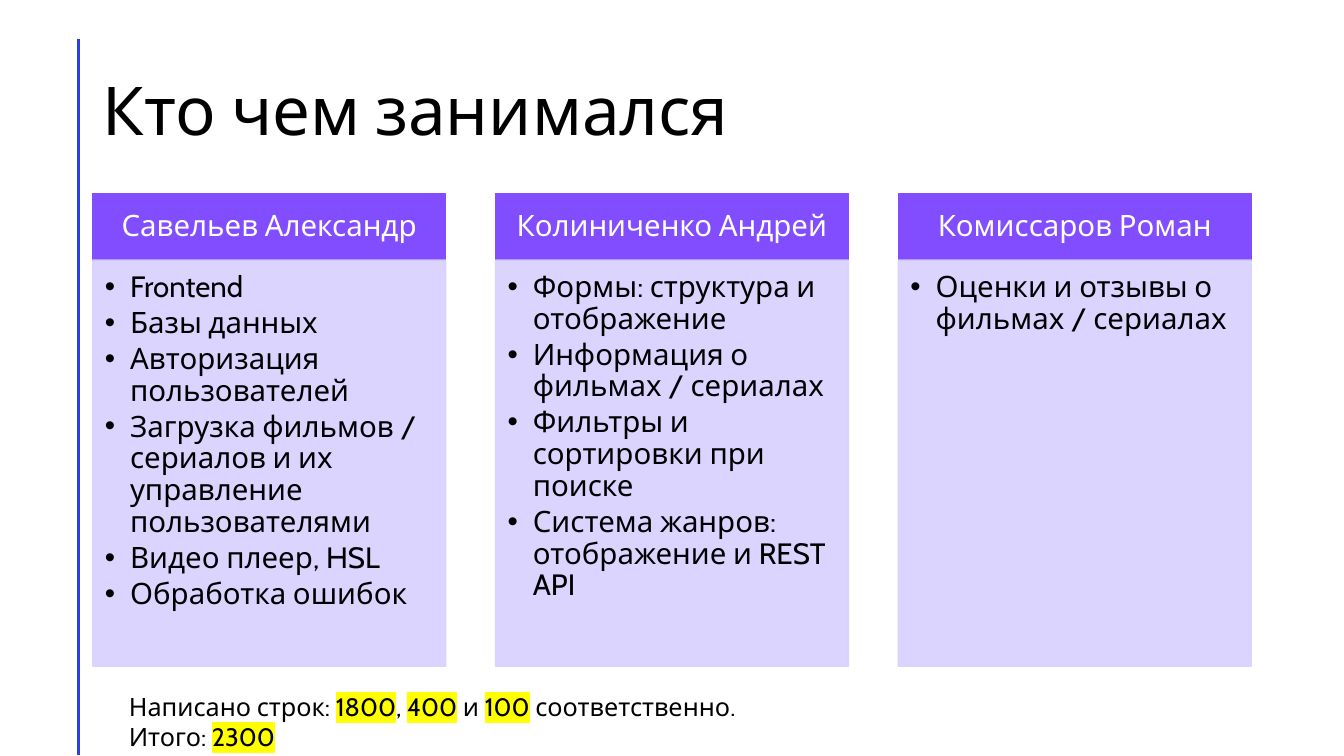
from lxml import etree
from pptx import Presentation
from pptx.dml.color import RGBColor
from pptx.enum.shapes import MSO_CONNECTOR, MSO_SHAPE
from pptx.enum.text import MSO_ANCHOR, PP_ALIGN
from pptx.oxml.ns import qn
from pptx.util import Inches, Pt

RECT = MSO_SHAPE.RECTANGLE
STRAIGHT = MSO_CONNECTOR.STRAIGHT
TOP, MIDDLE = MSO_ANCHOR.TOP, MSO_ANCHOR.MIDDLE
LEFT, CENTER = PP_ALIGN.LEFT, PP_ALIGN.CENTER

BLACK = RGBColor(0x00, 0x00, 0x00)
WHITE = RGBColor(0xFF, 0xFF, 0xFF)
BLUE = RGBColor(0x2B, 0x3F, 0xE4)
VIOLET = RGBColor(0x81, 0x4D, 0xFF)
LILAC = RGBColor(0xD8, 0xD0, 0xFF)
HIGHLIGHT = "FFFF00"
FONT = "Cabin"

CARD_LEFT, CARD_WIDTH, CARD_STEP = 0.92, 3.5, 3.995
HEAD_TOP, HEAD_HEIGHT, BODY_HEIGHT = 1.92, 0.66, 4.03
HEAD_INSETS = (0.16, 0.09, 0.16, 0.09)
BODY_INSETS = (0.12, 0.12, 0.16, 0.18)

TEAM = [
    ("Савельев Александр", [
        "Frontend",
        "Базы данных",
        "Авторизация пользователей",
        "Загрузка фильмов / сериалов и их управление пользователями",
        "Видео плеер, HSL",
        "Обработка ошибок",
    ]),
    ("Колиниченко Андрей", [
        "Формы: структура и отображение",
        "Информация о фильмах / сериалах",
        "Фильтры и сортировки при поиске",
        "Система жанров: отображение и REST API",
    ]),
    ("Комиссаров Роман", ["Оценки и отзывы о фильмах / сериалах"]),
]

# Text and whether it is highlighted
LINE_COUNTS = [
    ("Написано строк: ", False), ("1800", True), (", ", False),
    ("400", True), (" и ", False), ("100", True),
    (" соответственно. Итого: ", False), ("2300", True),
]


def set_values(obj, values):
    for name, value in values.items():
        setattr(obj, name, value)


def add_run(p, text, size, color, highlighted=False):
    r = p.add_run()
    r.text = text
    r.font.color.rgb = color
    set_values(r.font, {"size": Pt(size), "name": FONT})
    if highlighted:
        mark = etree.Element(qn("a:highlight"))
        etree.SubElement(mark, qn("a:srgbClr"), val=HIGHLIGHT)
        r.font._element.find(qn("a:solidFill")).addnext(mark)


def add_bullet(p):
    pPr = p._p.get_or_add_pPr()
    pPr.set("marL", str(Inches(0.25)))
    pPr.set("indent", str(-Inches(0.25)))
    etree.SubElement(pPr, qn("a:buFont"), typeface="Arial")
    etree.SubElement(pPr, qn("a:buChar"), char="•")


def set_alpha(sp, percent):
    for color in sp._element.spPr.iter(qn("a:srgbClr")):
        etree.SubElement(color, qn("a:alpha"), val=str(percent * 1000))


def add_panel(slide, box, color, insets, anchor):
    sp = slide.shapes.add_shape(RECT, *map(Inches, box))
    sp.shadow.inherit = False
    sp.fill.solid()
    sp.fill.fore_color.rgb = color
    sp.line.color.rgb = color
    sp.line.width = Pt(1)
    left, top, right, bottom = map(Inches, insets)
    set_values(sp.text_frame, {
        "margin_left": left, "margin_top": top, "margin_right": right,
        "margin_bottom": bottom, "vertical_anchor": anchor, "word_wrap": True,
    })
    return sp


def add_card(slide, left, name, tasks):
    head = add_panel(slide, (left, HEAD_TOP, CARD_WIDTH, HEAD_HEIGHT),
                     VIOLET, HEAD_INSETS, MIDDLE)
    p = head.text_frame.paragraphs[0]
    set_values(p, {"alignment": CENTER, "line_spacing": 0.9})
    add_run(p, name, 21, WHITE)

    body = add_panel(slide, (left, HEAD_TOP + HEAD_HEIGHT, CARD_WIDTH, BODY_HEIGHT),
                     LILAC, BODY_INSETS, TOP)
    set_alpha(body, 90)
    tf = body.text_frame
    for i, task in enumerate(tasks):
        p = tf.add_paragraph() if i else tf.paragraphs[0]
        set_values(p, {"alignment": LEFT, "level": 1, "line_spacing": 0.9,
                       "space_after": Pt(3)})
        add_bullet(p)
        add_run(p, task, 21, BLACK)


def add_side_line(slide):
    line = slide.shapes.add_connector(
        STRAIGHT, Inches(0.78), Inches(0.39), Inches(0.78), Inches(7.49))
    line.line.color.rgb = BLUE
    line.line.width = Pt(2)
    etree.SubElement(line._element.spPr, qn("a:effectLst"))


def set_title(slide, text):
    title = slide.shapes.title
    set_values(title, {"left": Inches(0.92), "top": Inches(0.4),
                       "width": Inches(11.5), "height": Inches(1.45)})
    title.text_frame.vertical_anchor = MIDDLE
    p = title.text_frame.paragraphs[0]
    set_values(p, {"alignment": LEFT, "line_spacing": 0.9})
    add_run(p, text, 48, BLACK)


def add_summary(slide):
    box = slide.shapes.add_textbox(
        Inches(1.18), Inches(6.81), Inches(6.88), Inches(0.4))
    box.text_frame.word_wrap = True
    p = box.text_frame.paragraphs[0]
    for text, highlighted in LINE_COUNTS:
        add_run(p, text, 18, BLACK, highlighted)


def main():
    prs = Presentation()
    prs.slide_width, prs.slide_height = Inches(13.33), Inches(7.5)
    slide = prs.slides.add_slide(prs.slide_layouts[5])

    # Heading
    add_side_line(slide)
    set_title(slide, "Кто чем занимался")

    # One card per team member
    for i, (name, tasks) in enumerate(TEAM):
        add_card(slide, CARD_LEFT + i * CARD_STEP, name, tasks)

    # Line counts
    add_summary(slide)
    prs.save("out.pptx")


if __name__ == "__main__":
    main()
